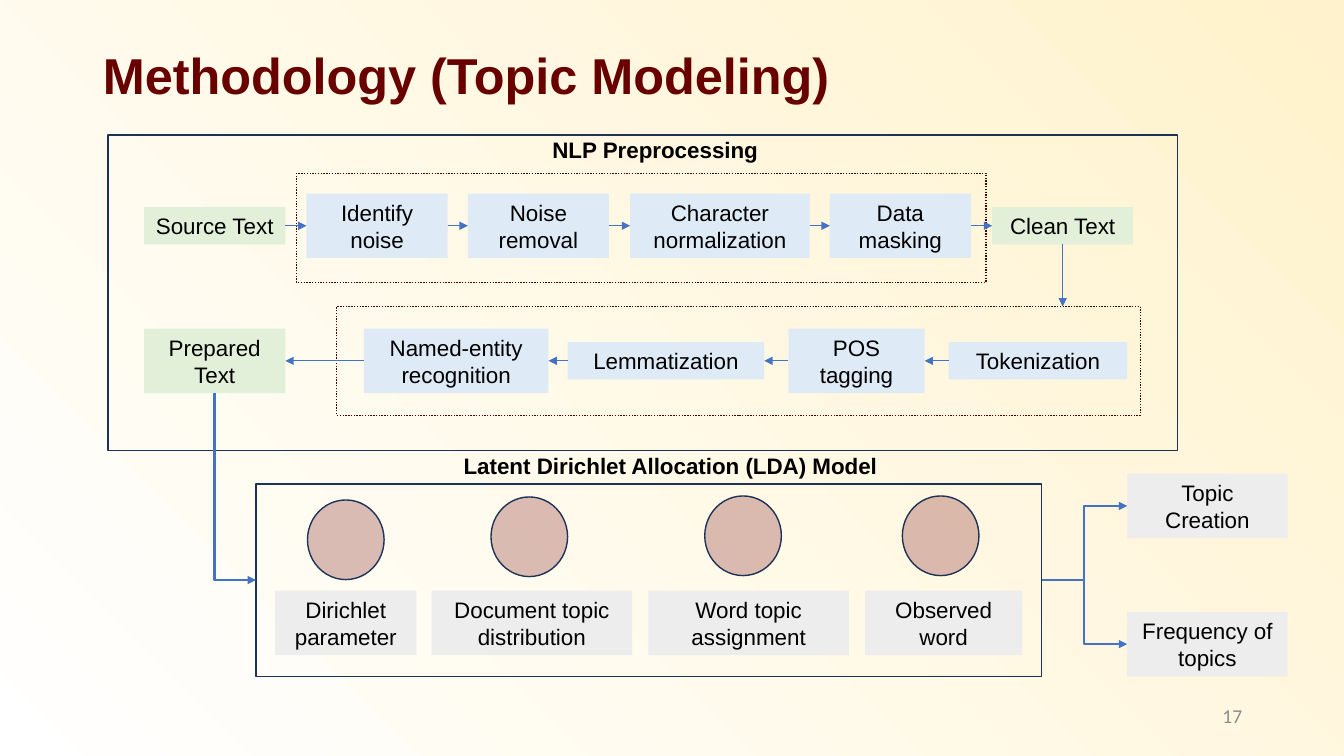
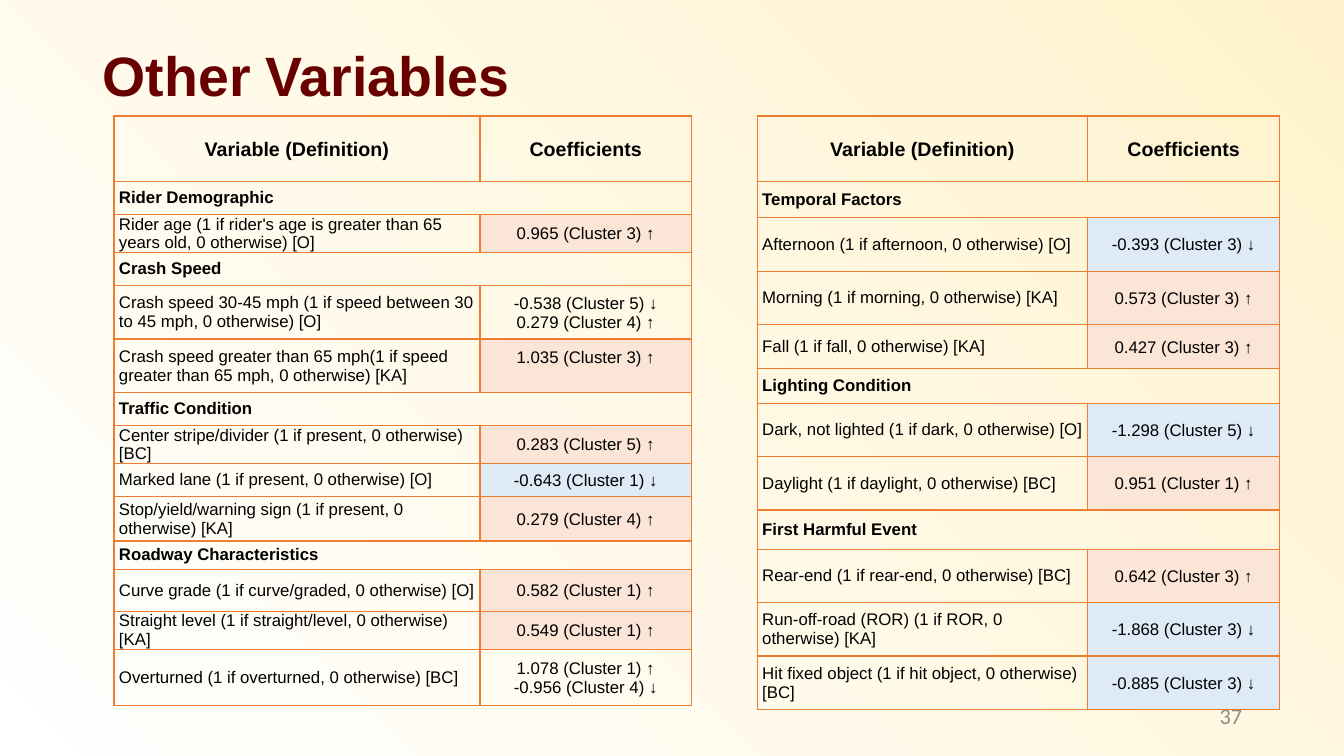
from dataclasses import dataclass
from itertools import pairwise

from lxml import etree
from pptx import Presentation
from pptx import util as u
from pptx.dml.color import RGBColor
from pptx.enum import dml, shapes, text
from pptx.oxml import ns

Inches, Pt = u.Inches, u.Pt
CENTER, LEFT, RIGHT = text.PP_ALIGN.CENTER, text.PP_ALIGN.LEFT, text.PP_ALIGN.RIGHT


@dataclass(frozen=True)
class Theme:
    cream: str = "FFF2CC"
    white: str = "FFFFFF"
    maroon: str = "680000"
    dotted: str = "480000"
    navy: str = "1E3256"
    arrow: str = "4472C4"
    black: str = "000000"
    muted: str = "8C8C8C"
    green: str = "E2F0D9"
    blue: str = "DEEBF7"
    gray: str = "EDEDED"
    rose: str = "B77C77"
    peach: str = "FBE5D6"
    border: str = "ED7D31"
    font: str = "Arial"
    number_font: str = "Calibri"
    label: float = 16
    header: float = 14
    body: float = 12


T = Theme()


def write(tf, lines, size, color=T.black, align=CENTER, bold=False, font=T.font):
    tf.word_wrap = True
    for i, line in enumerate(lines.split("\n")):
        p = tf.add_paragraph() if i else tf.paragraphs[0]
        p.alignment = align
        r = p.add_run()
        r.text = line
        for key, value in {"name": font, "size": Pt(size), "bold": bold}.items():
            setattr(r.font, key, value)
        r.font.color.rgb = RGBColor.from_string(color)


def link(s, begin, end=None, width=0.5, preset="line", arrow="a:tailEnd"):
    kind = shapes.MSO_CONNECTOR.STRAIGHT if preset == "line" else shapes.MSO_CONNECTOR.ELBOW
    c = s.shapes.add_connector(kind, 0, 0, 0, 0)
    c.begin_connect(*begin)
    if end:
        c.end_connect(*end)
    c.line.color.rgb = RGBColor.from_string(T.arrow)
    c.line.width = Pt(width)
    props = c._element.spPr
    props.find(ns.qn("a:prstGeom")).set("prst", preset)
    etree.SubElement(props.find(ns.qn("a:ln")), ns.qn(arrow), type="triangle")
    etree.SubElement(props, ns.qn("a:effectLst"))
    return c


prs = Presentation()
prs.slide_width, prs.slide_height = Inches(13.33), Inches(7.5)
bg = prs.slide_master.background.fill
bg.gradient()
bg.gradient_angle = 225
for stop, color in zip(bg.gradient_stops, (T.cream, T.white)):
    stop.color.rgb = RGBColor.from_string(color)

slides = []
for title, title_size, number, number_size in (
    ("Methodology (Topic Modeling)", 36, "17", 14),
    ("Other Variables", 39.6, "37", 16),
):
    s = prs.slides.add_slide(prs.slide_layouts[5])
    sp = s.shapes.title
    page = s.shapes.add_textbox(Inches(9.42), Inches(6.9), Inches(3), Inches(0.4))
    for key, value in {"left": 0.92, "top": 0.4, "width": 12, "height": 0.75}.items():
        setattr(sp, key, Inches(value))
    for tf in (sp.text_frame, page.text_frame):
        tf.auto_size = text.MSO_AUTO_SIZE.NONE
        tf.vertical_anchor = text.MSO_ANCHOR.MIDDLE
    write(sp.text_frame, title, title_size, T.maroon, LEFT, True)
    sp.text_frame.paragraphs[0].line_spacing = 0.9
    write(page.text_frame, number, number_size, T.muted, RIGHT, font=T.number_font)
    slides.append(s)

s, variables = slides

frames = {}
for name, at, color, dash in (
    ("preprocessing", (1.07, 1.34, 10.61, 3.13), T.navy, None),
    ("cleaning", (2.94, 1.72, 6.84, 1.08), T.dotted, dml.MSO_LINE.ROUND_DOT),
    ("parsing", (3.34, 3.04, 7.97, 1.08), T.dotted, dml.MSO_LINE.ROUND_DOT),
    ("lda", (2.54, 4.8, 7.79, 1.91), T.navy, None),
):
    sp = s.shapes.add_shape(shapes.MSO_SHAPE.RECTANGLE, *map(Inches, at))
    sp.shadow.inherit = False
    sp.fill.background()
    sp.line.color.rgb = RGBColor.from_string(color)
    sp.line.width = Pt(1)
    sp.line.dash_style = dash
    frames[name] = sp

for heading, left, top, width in (
    ("NLP Preprocessing", 5.38, 1.3, 3.52),
    ("Latent Dirichlet Allocation (LDA) Model", 4.5, 4.44, 5.73),
):
    sp = s.shapes.add_textbox(Inches(left), Inches(top), Inches(width), Inches(0.37))
    write(sp.text_frame, heading, T.label, align=LEFT, bold=True)

for left, top in ((3.05, 4.96), (4.87, 4.93), (6.99, 4.92), (8.95, 4.92)):
    sp = s.shapes.add_shape(
        shapes.MSO_SHAPE.OVAL, Inches(left), Inches(top), Inches(0.76), Inches(0.79)
    )
    sp.shadow.inherit = False
    sp.fill.solid()
    sp.fill.fore_color.rgb = RGBColor.from_string(T.rose)
    tint = sp._element.spPr.find(ns.qn("a:solidFill"))[0]
    etree.SubElement(tint, ns.qn("a:alpha"), val="50000")
    sp.line.color.rgb = RGBColor.from_string(T.navy)
    sp.line.width = Pt(1)

ONE_LINE, TWO_LINES = 0.37, 0.64
nodes = {}
for middle, row in (
    (2.24, (
        ("Source Text", 1.43, 1.4, ONE_LINE, T.green),
        ("Identify noise", 3.04, 1.4, TWO_LINES, T.blue),
        ("Noise removal", 4.64, 1.4, TWO_LINES, T.blue),
        ("Character normalization", 6.25, 1.78, TWO_LINES, T.blue),
        ("Data masking", 8.23, 1.4, TWO_LINES, T.blue),
        ("Clean Text", 9.84, 1.4, ONE_LINE, T.green),
    )),
    (3.58, (
        ("Tokenization", 9.41, 1.77, ONE_LINE, T.blue),
        ("POS tagging", 7.82, 1.35, TWO_LINES, T.blue),
        ("Lemmatization", 5.63, 1.95, ONE_LINE, T.blue),
        ("Named-entity recognition", 3.61, 1.83, TWO_LINES, T.blue),
        ("Prepared Text", 1.43, 1.4, TWO_LINES, T.green),
    )),
    (6.18, (
        ("Dirichlet parameter", 2.73, 1.4, TWO_LINES, T.gray),
        ("Document topic distribution", 4.28, 1.99, TWO_LINES, T.gray),
        ("Word topic assignment", 6.43, 1.99, TWO_LINES, T.gray),
        ("Observed word", 8.58, 1.56, TWO_LINES, T.gray),
    )),
    (5.02, (("Topic Creation", 11.18, 1.59, TWO_LINES, T.gray),)),
    (6.39, (("Frequency of topics", 11.18, 1.59, TWO_LINES, T.gray),)),
):
    for label, left, width, height, color in row:
        sp = s.shapes.add_shape(
            shapes.MSO_SHAPE.RECTANGLE,
            Inches(left), Inches(middle - height / 2), Inches(width), Inches(height),
        )
        sp.shadow.inherit = False
        sp.fill.solid()
        sp.fill.fore_color.rgb = RGBColor.from_string(color)
        sp.line.fill.background()
        sp.text_frame.vertical_anchor = text.MSO_ANCHOR.MIDDLE
        write(sp.text_frame, label, T.label)
        nodes[label] = sp

flow = list(nodes.values())
for chain, out_side, in_side in ((flow[:6], 3, 1), (flow[6:11], 1, 3)):
    for a, b in pairwise(chain):
        link(s, (a, out_side), (b, in_side))

c = link(s, (nodes["Clean Text"], 2))
c.end_x, c.end_y = Inches(10.54), frames["parsing"].top
link(s, (frames["lda"], 1), (nodes["Prepared Text"], 2), 2, "bentConnector2", "a:headEnd")
for result in ("Topic Creation", "Frequency of topics"):
    link(s, (frames["lda"], 3), (nodes[result], 1), 1.5, "bentConnector3")

rider_rows = (
    (0.65, "Variable (Definition)", "Coefficients"),
    (0.33, "Rider Demographic", None),
    (0.33, "Rider age (1 if rider's age is greater than 65 years old, 0 otherwise) [O]",
     "0.965 (Cluster 3) ↑"),
    (0.33, "Crash Speed", None),
    (0.53, "Crash speed 30-45 mph (1 if speed between 30 to 45 mph, 0 otherwise) [O]",
     "-0.538 (Cluster 5) ↓\n0.279 (Cluster 4) ↑"),
    (0.53, "Crash speed greater than 65 mph(1 if speed greater than 65 mph, 0 otherwise) [KA]",
     "1.035 (Cluster 3) ↑"),
    (0.33, "Traffic Condition", None),
    (0.33, "Center stripe/divider (1 if present, 0 otherwise) [BC]", "0.283 (Cluster 5) ↑"),
    (0.33, "Marked lane (1 if present, 0 otherwise) [O]", "-0.643 (Cluster 1) ↓"),
    (0.44, "Stop/yield/warning sign (1 if present, 0 otherwise) [KA]", "0.279 (Cluster 4) ↑"),
    (0.28, "Roadway Characteristics", None),
    (0.42, "Curve grade (1 if curve/graded, 0 otherwise) [O]", "0.582 (Cluster 1) ↑"),
    (0.33, "Straight level (1 if straight/level, 0 otherwise) [KA]", "0.549 (Cluster 1) ↑"),
    (0.56, "Overturned (1 if overturned, 0 otherwise) [BC]",
     "1.078 (Cluster 1) ↑\n-0.956 (Cluster 4) ↓"),
)
event_rows = (
    (0.65, "Variable (Definition)", "Coefficients"),
    (0.36, "Temporal Factors", None),
    (0.53, "Afternoon (1 if afternoon, 0 otherwise) [O]", "-0.393 (Cluster 3) ↓"),
    (0.53, "Morning (1 if morning, 0 otherwise) [KA]", "0.573 (Cluster 3) ↑"),
    (0.44, "Fall (1 if fall, 0 otherwise) [KA]", "0.427 (Cluster 3) ↑"),
    (0.34, "Lighting Condition", None),
    (0.53, "Dark, not lighted (1 if dark, 0 otherwise) [O]", "-1.298 (Cluster 5) ↓"),
    (0.53, "Daylight (1 if daylight, 0 otherwise) [BC]", "0.951 (Cluster 1) ↑"),
    (0.39, "First Harmful Event", None),
    (0.53, "Rear-end (1 if rear-end, 0 otherwise) [BC]", "0.642 (Cluster 3) ↑"),
    (0.53, "Run-off-road (ROR) (1 if ROR, 0 otherwise) [KA]", "-1.868 (Cluster 3) ↓"),
    (0.53, "Hit fixed object (1 if hit object, 0 otherwise) [BC]", "-0.885 (Cluster 3) ↓"),
)

tables = []
for left, widths, rows in ((1.13, (3.63, 2.1), rider_rows), (7.51, (3.28, 1.9), event_rows)):
    table = variables.shapes.add_table(
        len(rows), 2, Inches(left), Inches(1.15),
        Inches(sum(widths)), Inches(sum(row[0] for row in rows)),
    ).table
    table.first_row = table.horz_banding = False
    for column, width in zip(table.columns, widths):
        column.width = Inches(width)
    for i, (height, *values) in enumerate(rows):
        table.rows[i].height = Inches(height)
        section = values[1] is None
        for j, value in enumerate(values):
            cell = table.cell(i, j)
            centred = i == 0 or j == 1
            inset = 0.01 if centred else 0.05
            for key, margin in {
                "margin_left": inset, "margin_right": inset,
                "margin_top": 0.01 if centred else 0, "margin_bottom": 0,
            }.items():
                setattr(cell, key, Inches(margin))
            cell.vertical_anchor = text.MSO_ANCHOR.MIDDLE
            props = cell._tc.get_or_add_tcPr()
            for side in ("a:lnL", "a:lnR", "a:lnT", "a:lnB"):
                ln = etree.SubElement(props, ns.qn(side), w=str(Pt(1)))
                paint = etree.SubElement(ln, ns.qn("a:solidFill"))
                etree.SubElement(paint, ns.qn("a:srgbClr"), val=T.border)
            trends = {mark for mark in "↑↓" if mark in (value or "")}
            if len(trends) == 1:
                cell.fill.solid()
                color = T.peach if "↑" in trends else T.blue
                cell.fill.fore_color.rgb = RGBColor.from_string(color)
            else:
                cell.fill.background()
            if value:
                write(cell.text_frame, value, T.body if i else T.header,
                      align=CENTER if centred else LEFT, bold=i == 0 or section)
        if section:
            table.cell(i, 0).merge(table.cell(i, 1))
    tables.append(table)

tables[0].cell(5, 1).margin_bottom = Inches(0.18)

prs.save("out.pptx")
